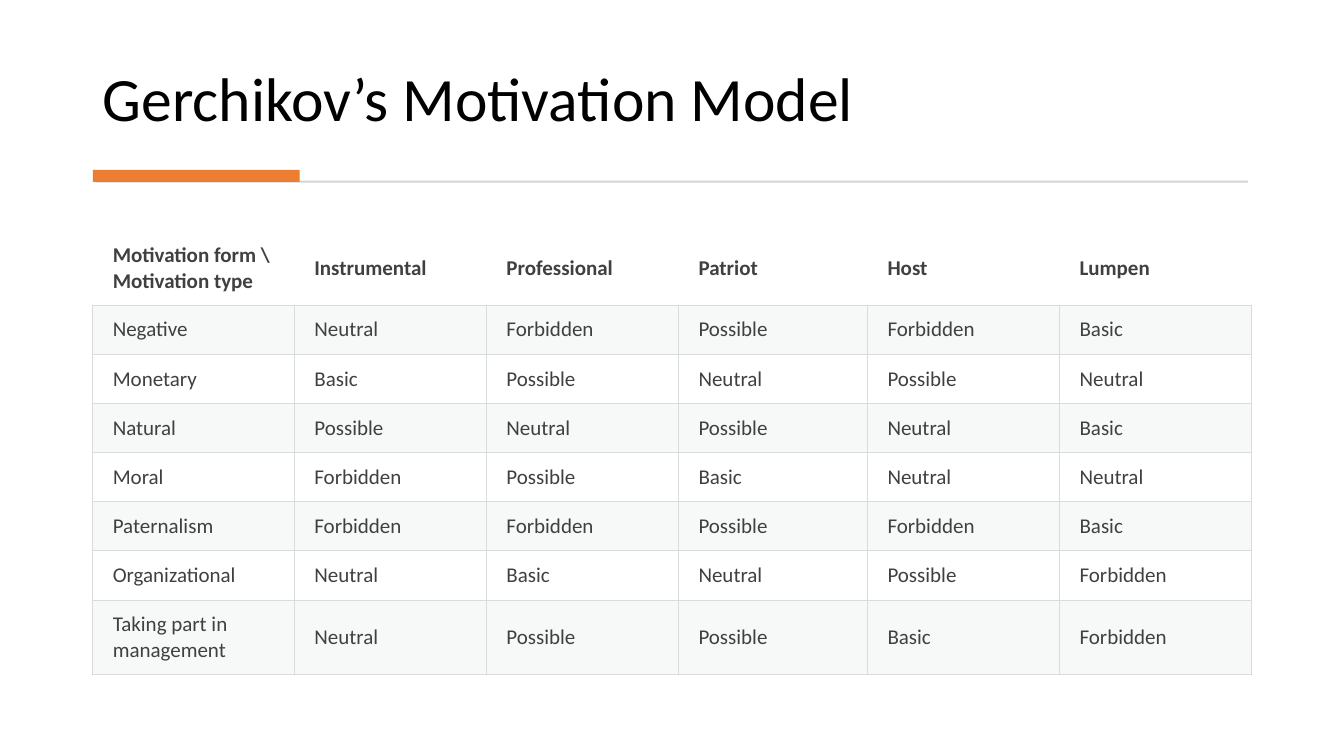
"""Build a slide with a table of Gerchikov's motivation model."""
from lxml.etree import SubElement
from pptx import Presentation
from pptx.dml.color import RGBColor
from pptx.enum.shapes import MSO_SHAPE
from pptx.enum.text import MSO_ANCHOR, PP_ALIGN
from pptx.oxml.ns import qn
from pptx.util import Pt

FONT = "Calibri"
COLORS = {
    "title": "000000",
    "text": "404040",
    "rule": "D5D5D5",
    "accent": "ED7D31",
    "border": "D8DCDC",
    "band": "D8DEDC",
}
BAND_ALPHA = "20000"
COLUMN_WIDTHS = [144, 137.2, 137.2, 135, 137.2, 137.2]
ROW_HEIGHTS = [53] + [35.1] * 6 + [53]
ROWS = [
    ["Motivation form \\ Motivation type", "Instrumental", "Professional", "Patriot", "Host", "Lumpen"],
    ["Negative", "Neutral", "Forbidden", "Possible", "Forbidden", "Basic"],
    ["Monetary", "Basic", "Possible", "Neutral", "Possible", "Neutral"],
    ["Natural", "Possible", "Neutral", "Possible", "Neutral", "Basic"],
    ["Moral", "Forbidden", "Possible", "Basic", "Neutral", "Neutral"],
    ["Paternalism", "Forbidden", "Forbidden", "Possible", "Forbidden", "Basic"],
    ["Organizational", "Neutral", "Basic", "Neutral", "Possible", "Forbidden"],
    ["Taking part in management", "Neutral", "Possible", "Possible", "Basic", "Forbidden"],
]


def format_font(font, size, color, bold=False):
    font.name = FONT
    font.size = Pt(size)
    font.bold = bold
    font.color.rgb = RGBColor.from_string(COLORS[color])


def add_border(cell, side):
    line = SubElement(cell._tc.get_or_add_tcPr(), qn(f"a:ln{side}"), w=str(Pt(0.75)))
    fill = SubElement(line, qn("a:solidFill"))
    SubElement(fill, qn("a:srgbClr"), val=COLORS["border"])


presentation = Presentation()
presentation.slide_width, presentation.slide_height = Pt(960), Pt(540)
slide = presentation.slides.add_slide(presentation.slide_layouts[5])

title = slide.shapes.title
title.left, title.top, title.width, title.height = Pt(66.2), Pt(20.2), Pt(827.3), Pt(79.9)
title.text_frame.text = "Gerchikov’s Motivation Model"
title.text_frame.word_wrap = True
title.text_frame.vertical_anchor = MSO_ANCHOR.BOTTOM
title_paragraph = title.text_frame.paragraphs[0]
title_paragraph.alignment = PP_ALIGN.LEFT
title_paragraph.line_spacing = 0.9
format_font(title_paragraph.runs[0].font, 44, "title")

for color, left, top, width, height in [
    ("rule", 68.4, 129, 823, 1.4),
    ("accent", 66.4, 121.3, 147.6, 8.6),
]:
    bar = slide.shapes.add_shape(MSO_SHAPE.RECTANGLE, Pt(left), Pt(top), Pt(width), Pt(height))
    bar.shadow.inherit = False
    bar.fill.solid()
    bar.fill.fore_color.rgb = RGBColor.from_string(COLORS[color])
    bar.line.fill.background()

table = slide.shapes.add_table(
    len(ROWS), len(COLUMN_WIDTHS), Pt(66.4), Pt(165), Pt(sum(COLUMN_WIDTHS)), Pt(sum(ROW_HEIGHTS))
).table
table.first_row = False
table.horz_banding = False
for column, width in zip(table.columns, COLUMN_WIDTHS):
    column.width = Pt(width)
for row, height in zip(table.rows, ROW_HEIGHTS):
    row.height = Pt(height)

for row_index, values in enumerate(ROWS):
    is_header = row_index == 0
    for column_index, value in enumerate(values):
        cell = table.cell(row_index, column_index)
        cell.text_frame.text = value
        cell.vertical_anchor = MSO_ANCHOR.MIDDLE
        cell.margin_left, cell.margin_right = Pt(14.2), Pt(11.5)
        cell.margin_top = cell.margin_bottom = Pt(7.1)
        format_font(cell.text_frame.paragraphs[0].runs[0].font, 15, "text", is_header)
        for side in "B" if is_header else "LRTB":
            add_border(cell, side)
        if row_index % 2:
            cell.fill.solid()
            cell.fill.fore_color.rgb = RGBColor.from_string(COLORS["band"])
            band_color = cell._tc.tcPr.find(qn("a:solidFill")).find(qn("a:srgbClr"))
            SubElement(band_color, qn("a:alpha"), val=BAND_ALPHA)
        else:
            cell.fill.background()

presentation.save("out.pptx")
